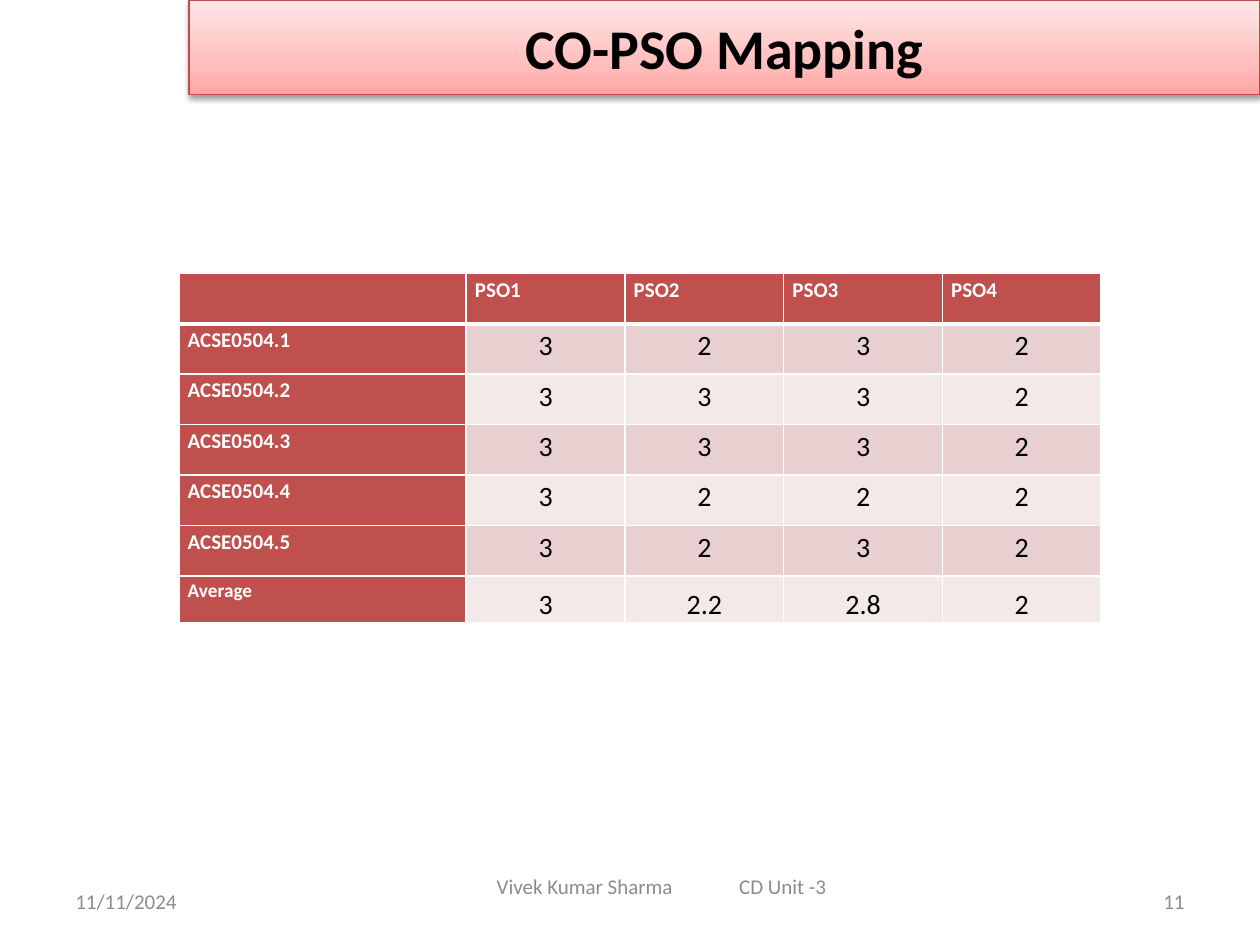
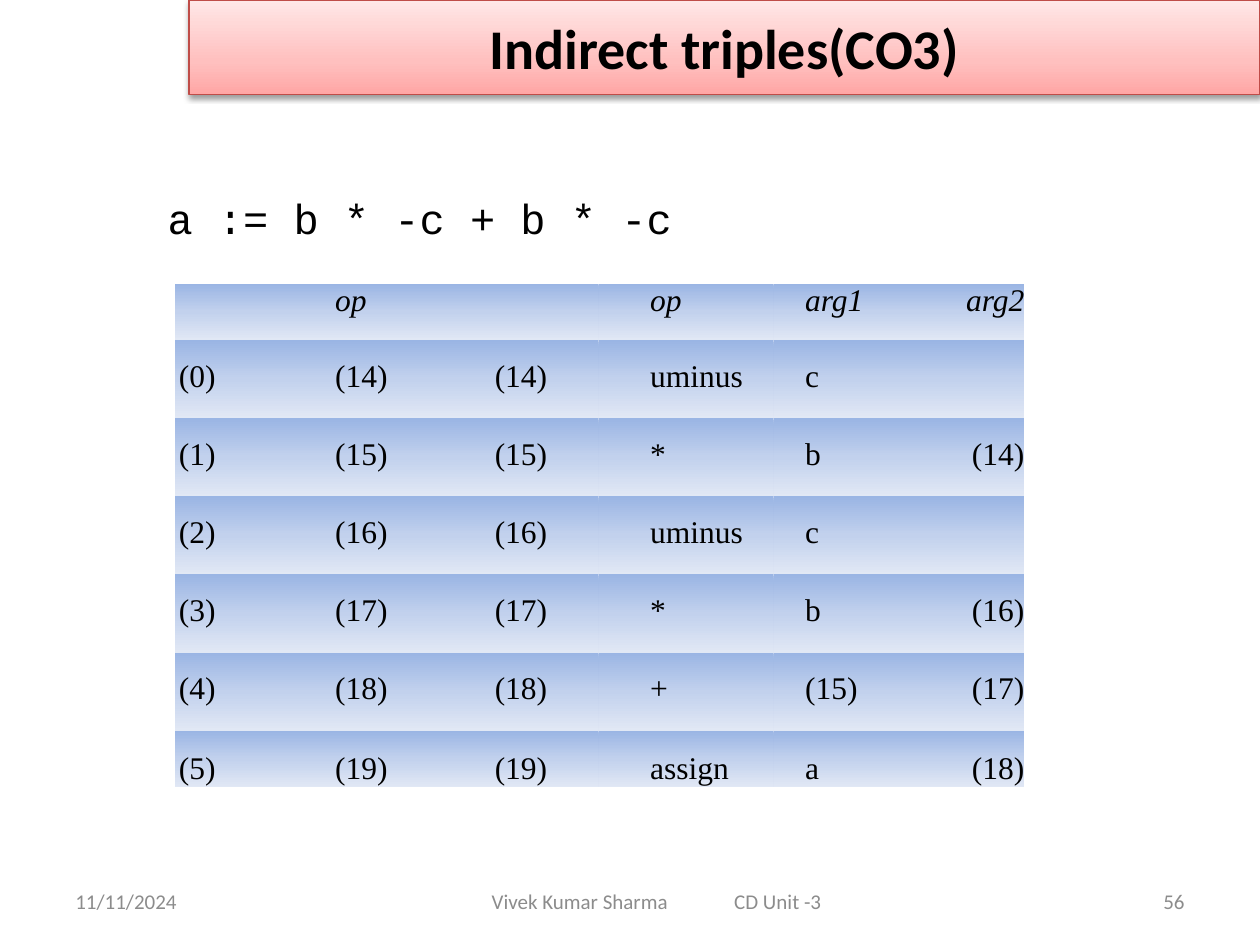
from lxml import etree
from pptx import Presentation
from pptx.dml.color import RGBColor
from pptx.enum.text import MSO_ANCHOR, PP_ALIGN
from pptx.oxml.ns import qn
from pptx.util import Pt

PX = 9144  # 100 px to the inch
LEFT, CENTER, RIGHT, JUSTIFY = PP_ALIGN.LEFT, PP_ALIGN.CENTER, PP_ALIGN.RIGHT, PP_ALIGN.JUSTIFY
TOP, MIDDLE, BOTTOM = MSO_ANCHOR.TOP, MSO_ANCHOR.MIDDLE, MSO_ANCHOR.BOTTOM

BLACK = RGBColor(0x00, 0x00, 0x00)
WHITE = RGBColor(0xFF, 0xFF, 0xFF)
GREY = RGBColor(0x8C, 0x8C, 0x8C)
RED = RGBColor(0xC0, 0x50, 0x4D)
RED_LINE = RGBColor(0xBF, 0x4C, 0x48)
BANDS = [RGBColor(0xF4, 0xE9, 0xE9), RGBColor(0xE8, 0xD0, 0xD0)]
PINK_STOPS = [(0, RGBColor(0xFF, 0xA6, 0xA5)), (35, RGBColor(0xFF, 0xC0, 0xBF)),
              (100, RGBColor(0xFF, 0xE7, 0xE7))]
BLUE_STOPS = [(0, RGBColor(0x9A, 0xB5, 0xE4)), (50, RGBColor(0xC2, 0xD1, 0xED)),
              (100, RGBColor(0xE1, 0xE8, 0xF5))]
NO_STYLE = "{2D5ABB26-0587-4C30-8999-92F81FD0307C}"


def add_gradient(parent, stops, angle):
    grad = etree.SubElement(parent, qn("a:gradFill"), rotWithShape="1")
    gs_list = etree.SubElement(grad, qn("a:gsLst"))
    for pos, color in stops:
        gs = etree.SubElement(gs_list, qn("a:gs"), pos=str(pos * 1000))
        etree.SubElement(gs, qn("a:srgbClr"), val=str(color))
    etree.SubElement(grad, qn("a:lin"), ang=str(angle * 60000), scaled="0")


def style_text(p, size, color, font="Calibri", align=LEFT, bold=False, italic=False):
    p.alignment = align
    for r in p.runs:
        r.font.name, r.font.size, r.font.color.rgb = font, Pt(size), color
        r.font.bold, r.font.italic = bold, italic


prs = Presentation()
prs.slide_width, prs.slide_height = 1000 * PX, 750 * PX

# Title band and footers of both slides; the footer box is left, top, width
slides = []
for title, number, footer in [("CO-PSO Mapping", "11", (250, 683, 550)),
                              ("Indirect triples(CO3)", "56", (342, 695, 358))]:
    s = prs.slides.add_slide(prs.slide_layouts[5])
    slides.append(s)

    sp = s.shapes.title
    sp.left, sp.top, sp.width, sp.height = 150 * PX, 0, 850 * PX, 75 * PX
    sp.text_frame.text = title
    sp.text_frame.vertical_anchor = MIDDLE
    style_text(sp.text_frame.paragraphs[0], 32, BLACK, align=CENTER, bold=True)
    spPr = sp.element.spPr
    add_gradient(spPr, PINK_STOPS, 270)
    sp.line.color.rgb = RED_LINE
    sp.line.width = Pt(0.75)
    effects = etree.SubElement(spPr, qn("a:effectLst"))
    shadow = etree.SubElement(effects, qn("a:outerShdw"), blurRad="40000", dist="20000",
                              dir="5400000", rotWithShape="0")
    shade = etree.SubElement(shadow, qn("a:srgbClr"), val=str(BLACK))
    etree.SubElement(shade, qn("a:alpha"), val="38000")

    for texts, (x, y, w), align in [(["11/11/2024"], (50, 695, 233), LEFT),
                                    (["Vivek Kumar Sharma", " ", "CD Unit -3"], footer, CENTER),
                                    ([number], (717, 695, 233), RIGHT)]:
        tf = s.shapes.add_textbox(x * PX, y * PX, w * PX, 40 * PX).text_frame
        tf.word_wrap = True
        tf.vertical_anchor = MIDDLE
        p = tf.paragraphs[0]
        for text in texts:
            p.add_run().text = text
        style_text(p, 12, GREY, align=align)
        if len(texts) > 1:  # one wide space parts author and unit
            p.runs[1].font._element.set("spc", "3520")

mapping_slide, triples_slide = slides

# Tables: left, top, column widths, row heights, rows
mapping = [
    ["", "PSO1", "PSO2", "PSO3", "PSO4"],
    ["ACSE0504.1", "3", "2", "3", "2"],
    ["ACSE0504.2", "3", "3", "3", "2"],
    ["ACSE0504.3", "3", "3", "3", "2"],
    ["ACSE0504.4", "3", "2", "2", "2"],
    ["ACSE0504.5", "3", "2", "3", "2"],
    ["Average", "3", "2.2", "2.8", "2"],
]
triples = [
    ["", "op", "", "op", "arg1", "arg2"],
    ["(0)", "(14)", "(14)", "uminus", "c", ""],
    ["(1)", "(15)", "(15)", "*", "b", "(14)"],
    ["(2)", "(16)", "(16)", "uminus", "c", ""],
    ["(3)", "(17)", "(17)", "*", "b", "(16)"],
    ["(4)", "(18)", "(18)", "+", "(15)", "(17)"],
    ["(5)", "(19)", "(19)", "assign", "a", "(18)"],
]
tables = []
for s, x, y, widths, heights, rows in [
        (mapping_slide, 142, 217, [228] + [126] * 4, [40] * 6 + [37], mapping),
        (triples_slide, 139, 225, [80, 131, 125, 139, 110, 89], [45] + [62] * 5 + [45], triples)]:
    frame = s.shapes.add_table(len(rows), len(widths), x * PX, y * PX,
                               sum(widths) * PX, sum(heights) * PX)
    table = frame.table
    table.first_row = table.horz_banding = False
    next(frame.element.iter(qn("a:tableStyleId"))).text = NO_STYLE
    for column, w in zip(table.columns, widths):
        column.width = w * PX
    for i, h in enumerate(heights):
        table.rows[i].height = h * PX
        for j, text in enumerate(rows[i]):
            cell = table.cell(i, j)
            cell.margin_top = cell.margin_bottom = 0
            cell.text = text
    tables.append(table)
mapping_table, triples_table = tables

# CO-PSO table: red heads, banded body, white borders
last = len(mapping) - 1
for i in range(len(mapping)):
    for j in range(len(mapping[0])):
        cell = mapping_table.cell(i, j)
        cell.margin_left = cell.margin_right = 7 * PX
        head = i == 0 or j == 0
        p = cell.text_frame.paragraphs[0]
        p.line_spacing = 1.15
        if head:
            style_text(p, 11 if i == last else 12, WHITE, align=LEFT if i else JUSTIFY, bold=True)
        else:
            style_text(p, 16, BLACK, align=CENTER)
        cell.vertical_anchor = BOTTOM if i == last and not head else TOP
        tcPr = cell._tc.get_or_add_tcPr()
        for side in "LRTB":
            thick = (i, side) in [(0, "B"), (1, "T")]
            ln = etree.SubElement(tcPr, qn("a:ln" + side), w=str(Pt(3 if thick else 1)))
            fill = etree.SubElement(ln, qn("a:solidFill"))
            etree.SubElement(fill, qn("a:srgbClr"), val=str(WHITE))
        cell.fill.solid()
        cell.fill.fore_color.rgb = RED if head else BANDS[i % 2]

# Indirect triples table: blue gradient cells, one indent per column
INDENTS = [3, 47, 2, 41, 25, 0]
ALIGNS = [LEFT, LEFT, CENTER, LEFT, LEFT, RIGHT]
for i in range(len(triples)):
    for j, (indent, align) in enumerate(zip(INDENTS, ALIGNS)):
        cell = triples_table.cell(i, j)
        cell.margin_left = cell.margin_right = 0
        p = cell.text_frame.paragraphs[0]
        style_text(p, 18, BLACK, "Times New Roman", align, italic=i == 0)
        p._p.get_or_add_pPr().set("marL", str(indent * PX))
        if i == 0:
            p.line_spacing = Pt(19.6)
        elif triples[i][j]:
            cell.margin_top = 15 * PX
            p.space_before = Pt(10.5)
            if i == len(triples) - 1:
                p.line_spacing = Pt(20.9)
        add_gradient(cell._tc.get_or_add_tcPr(), BLUE_STOPS, 90)

# Statement that the triples encode
tf = triples_slide.shapes.add_textbox(133 * PX, 150 * PX, 403 * PX, 43 * PX).text_frame
tf.word_wrap = True
tf.margin_left = tf.margin_right = tf.margin_bottom = 0
tf.margin_top = 3 * PX
tf.text = "a := b * -c + b * -c"
style_text(tf.paragraphs[0], 24, BLACK, "Courier New")

prs.save("out.pptx")
